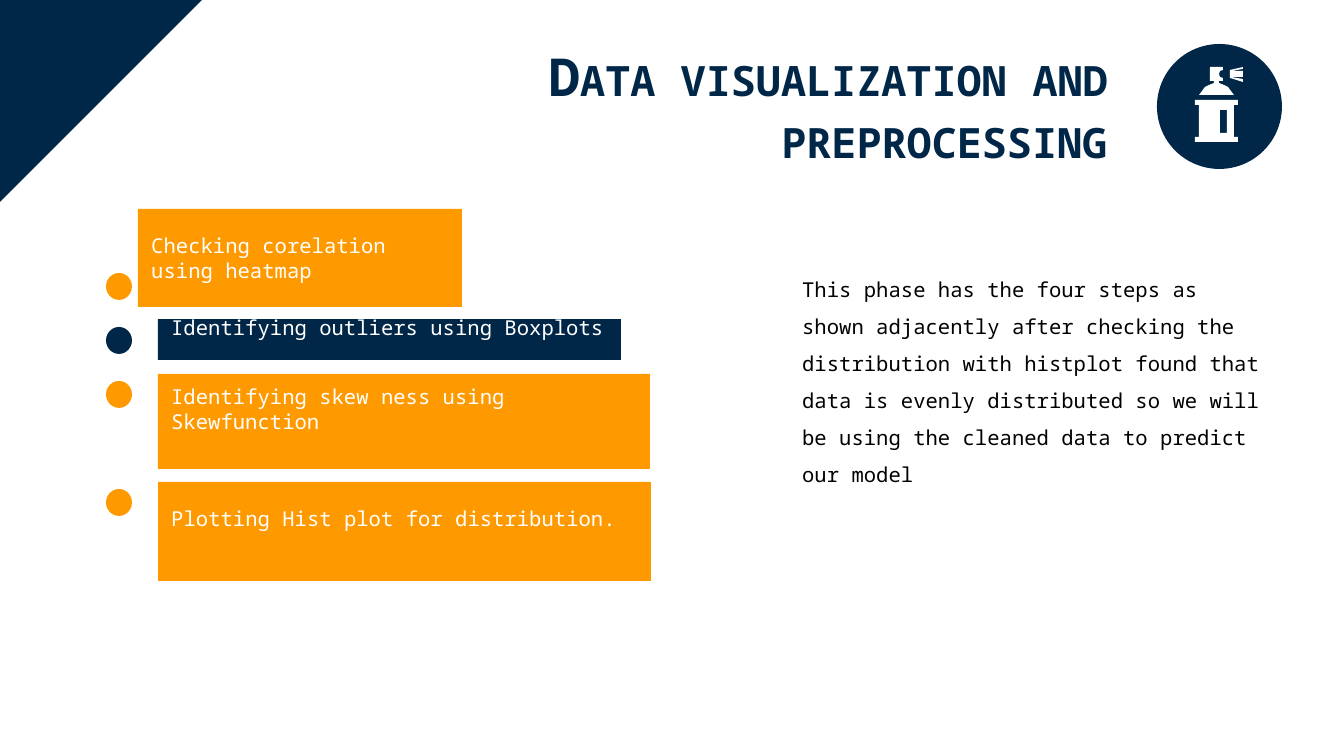
from dataclasses import dataclass

from pptx import Presentation
from pptx.dml.color import RGBColor
from pptx.enum.shapes import MSO_SHAPE as Preset
from pptx.enum.text import MSO_ANCHOR as Anchor, MSO_AUTO_SIZE as AutoSize, PP_ALIGN as Align
from pptx.util import Emu, Pt

SCALE = 914400 / 134.4
NAVY = RGBColor(0x00, 0x27, 0x48)
ORANGE = RGBColor(0xFF, 0x99, 0x00)
WHITE = RGBColor(0xFF, 0xFF, 0xFF)
BLACK = RGBColor(0x00, 0x00, 0x00)
FONT = "Noto Sans Mono"
LINE_HEIGHT = 25
DOT_TOP, DOT_PITCH = 273, 54


@dataclass(frozen=True)
class Box:
    left: int
    top: int
    width: int
    height: int

    def emu(self) -> tuple[Emu, ...]:
        return tuple(px(v) for v in (self.left, self.top, self.width, self.height))


@dataclass(frozen=True)
class Step:
    text: str
    box: Box
    color: RGBColor
    dot_row: int
    lift: int = LINE_HEIGHT


def px(length: float) -> Emu:
    return Emu(round(length * SCALE))


def paint(shape, color: RGBColor):
    shape.shadow.inherit = False
    shape.fill.solid()
    shape.fill.fore_color.rgb = color
    shape.line.fill.background()
    return shape


def draw(shapes, preset: Preset, box: Box, color: RGBColor):
    return paint(shapes.add_shape(preset, *box.emu()), color)


def write(frame, text: str, color: RGBColor, frame_format: dict, paragraph_format: dict,
          size: int = 11, bold: bool = False):
    paragraph = frame.paragraphs[0]
    run = paragraph.add_run()
    run.text = text
    run.font.color.rgb = color
    formats = (
        (frame, {"word_wrap": True, **frame_format}),
        (paragraph, paragraph_format),
        (run.font, {"name": FONT, "size": Pt(size), "bold": bold}),
    )
    for target, values in formats:
        for attribute, value in values.items():
            setattr(target, attribute, value)
    return run


def draw_step(shapes, step: Step) -> None:
    banner = draw(shapes, Preset.RECTANGLE, step.box, step.color)
    write(banner.text_frame, step.text, WHITE,
          {"vertical_anchor": Anchor.MIDDLE, "margin_bottom": px(7 + step.lift)},
          {"alignment": Align.LEFT})
    dot = Box(106, DOT_TOP + DOT_PITCH * step.dot_row, 26, 27)
    draw(shapes, Preset.OVAL, dot, step.color)


def draw_outlines(shapes, outlines: list[list[tuple[int, int]]], color: RGBColor) -> None:
    builder = shapes.build_freeform(*outlines[0][0], scale=SCALE)
    for index, outline in enumerate(outlines):
        if index:
            builder.move_to(*outline[0])
        builder.add_line_segments(outline[1:], close=True)
    paint(builder.convert_to_shape(), color)


CAN = [(1234, 105), (1234, 137), (1238, 137), (1238, 142), (1195, 142), (1195, 137),
       (1199, 137), (1199, 105), (1195, 105), (1195, 100), (1238, 100), (1238, 105)]
WINDOW = [(1227, 110), (1220, 110), (1220, 133), (1227, 133)]
SPRAY = [(1243, 79), (1231, 77), (1243, 77), (1243, 71), (1231, 71), (1243, 69),
         (1243, 67), (1230, 70), (1230, 78), (1243, 82)]
DOME_HALF = [(1219, 81), (1219, 83), (1224, 85), (1228, 87), (1231, 91), (1234, 95)]
DOME = DOME_HALF + [(2433 - x, y) for x, y in reversed(DOME_HALF)]
NOZZLE = [(1210, 81), (1210, 67), (1223, 67), (1223, 70), (1220, 71), (1219, 74),
          (1220, 77), (1223, 78), (1223, 81)]

STEPS = [
    Step("Checking corelation using heatmap", Box(138, 209, 324, 98), ORANGE, 0, lift=0),
    Step("Identifying outliers using Boxplots", Box(158, 319, 463, 41), NAVY, 1),
    Step("Identifying skew ness using Skewfunction", Box(158, 374, 492, 95), ORANGE, 2),
    Step("Plotting Hist plot for distribution.", Box(158, 482, 493, 99), ORANGE, 4),
]
SUMMARY = ("This phase has the four steps as shown adjacently after checking the "
           "distribution with histplot found that data is evenly distributed so we "
           "will be using the cleaned data to predict our model")

deck = Presentation()
deck.slide_width, deck.slide_height = px(1344), px(756)
slide = deck.slides.add_slide(deck.slide_layouts[6])

badge = slide.shapes.add_group_shape()
draw(badge.shapes, Preset.OVAL, Box(1157, 44, 125, 125), NAVY)
draw_outlines(badge.shapes, [CAN, WINDOW, SPRAY, DOME + NOZZLE], WHITE)

corner = draw(slide.shapes, Preset.RIGHT_TRIANGLE, Box(-3, -2, 207, 207), NAVY)
corner.rotation = 90

title = slide.shapes.add_textbox(*Box(313, 40, 803, 71).emu())
title_run = write(title.text_frame, "Data visualization and preprocessing", NAVY,
                  {"auto_size": AutoSize.SHAPE_TO_FIT_TEXT,
                   "margin_left": px(8), "margin_right": px(8),
                   "margin_top": px(4), "margin_bottom": px(4)},
                  {"alignment": Align.RIGHT}, size=28, bold=True)
title_run.font._element.set("cap", "small")

for step in STEPS:
    draw_step(slide.shapes, step)

summary = slide.shapes.add_textbox(*Box(789, 258, 489, 200).emu())
write(summary.text_frame, SUMMARY, BLACK, {"auto_size": AutoSize.SHAPE_TO_FIT_TEXT},
      {"line_spacing": 1.5})

deck.save("out.pptx")
